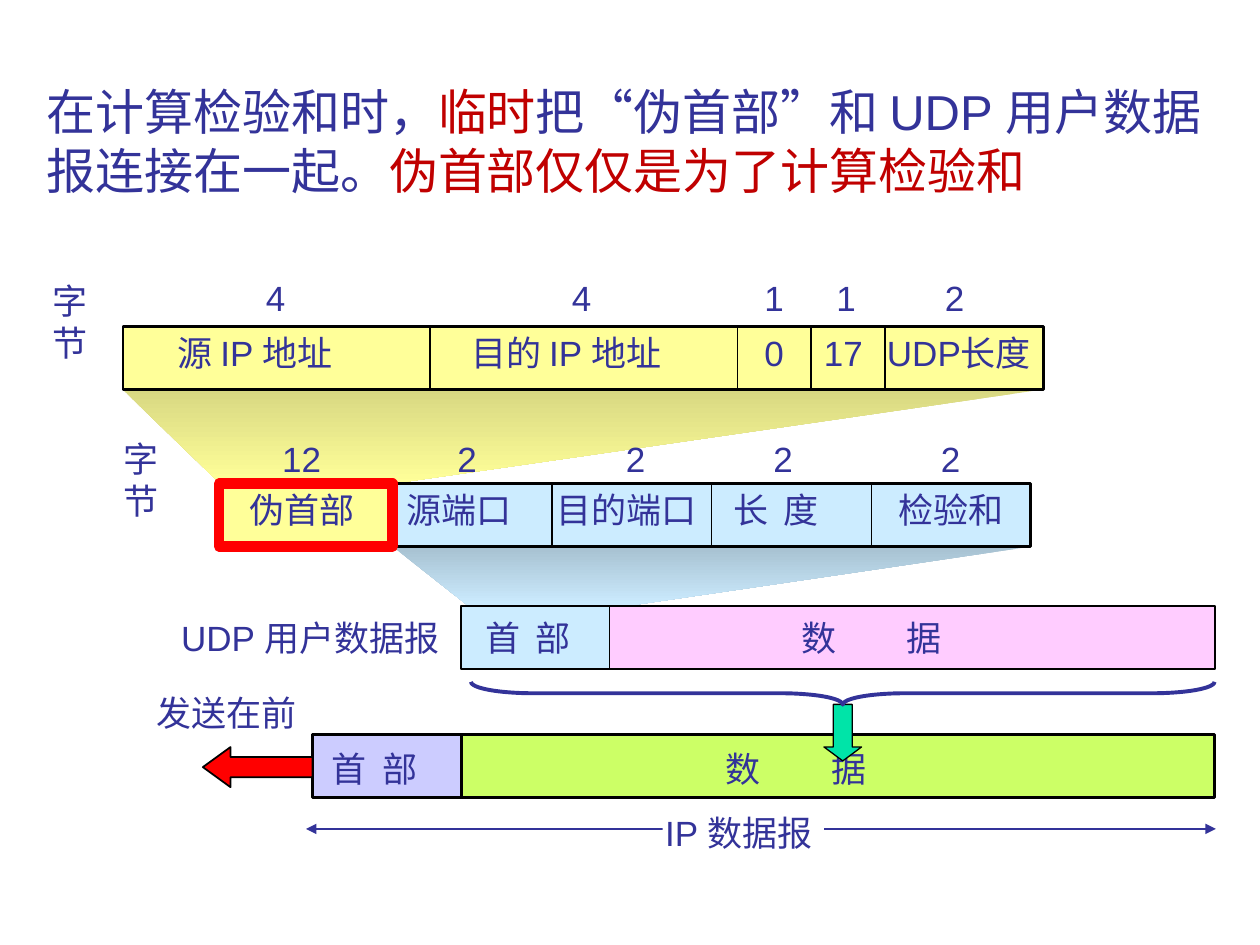
import pptx
import pptx.util
import pptx.dml.color
import pptx.enum.shapes
import pptx.enum.text
import pptx.oxml.ns
import lxml.etree

Cm, Pt = pptx.util.Cm, pptx.util.Pt
KIND = pptx.enum.shapes.MSO_SHAPE

INK = {
    "text": "333399", "dark": "C00000", "black": "000000", "white": "FFFFFF",
    "sun": "FFFF99", "olive": "D8D882", "sky": "CCECFF", "steel": "A7C1D1",
    "pink": "FFCCFF", "lime": "CCFF66", "lilac": "CCCCFF", "red": "FF0000",
    "mint": "00E4A8",
}

TITLE = [
    ("在计算检验和时，", "text", "Arial"),
    ("临时", "dark", "Arial"),
    ("把“伪首部”和 UDP 用户数据报连接在一起。", "text", "Arial"),
    ("伪首部仅仅是为了计算检验和", "dark", "Roboto"),
]

HIGH = 1.27
PSEUDO, UDP, USER, IP = 6.58, 9.75, 12.22, 14.81

FANS = [
    ([(2.47, 7.85), (21.04, 7.85), (7.92, 9.75), (4.44, 9.75)], "olive", "sun"),
    ([(7.92, 11.02), (20.78, 11.02), (12.62, 12.22), (9.45, 12.22)], "steel", "sky"),
]
BARS = [
    (2.48, PSEUDO, 18.56, "sun", "black", 1.5),
    (7.91, UDP, 12.87, "sky", "black", 1.5),
    (4.42, UDP, 3.49, "sun", "red", 6),
    (9.3, USER, 3, "sky", "black", 1),
    (12.29, USER, 12.2, "pink", "black", 1),
    (9.3, IP, 15.19, "lime", "black", 1.5),
    (6.3, IP, 3, "lilac", "black", 1.5),
]
CUTS = [
    (PSEUDO, [8.67, 14.87, 16.35, 17.84]),
    (UDP, [7.91 + 12.87 / 4 * i for i in (1, 2, 3)]),
]

THIN, WIDE = 2.24, 17.9
LABELS = [
    (5.51, [("字节", 0.81, 1.91, 0)]),
    (5.44, [("4", 5.11, 0.89, 0), ("4", 11.28, 0.89, 0), ("1", 15.16, 0.89, 0),
            ("1", 16.61, 0.89, 0), ("2", 18.8, 0.89, 0)]),
    (6.55, [("源 IP 地址", 3.33, 4.17, 0), ("目的 IP 地址", 9.25, 4.88, 0),
            ("0", 15.16, 0.89, 0), ("17", 16.36, 1.3, 0), ("UDP长度", 17.63, 3.58, 0)]),
    (8.7, [("字节", 2.24, 1.91, 0), ("12", 5.44, 1.3, 0), ("2", 8.97, 0.89, 0),
           ("2", 12.37, 0.89, 0), ("2", 15.34, 0.89, 0), ("2", 18.72, 0.89, 0)]),
    (9.73, [("伪首部", 4.78, 2.62, 0), ("源端口", 7.95, 2.62, 0),
            ("目的端口", 10.97, 3.33, 0), ("长 度", 14.53, 2.62, THIN),
            ("检验和", 17.86, 2.62, 0)]),
    (12.31, [("UDP 用户数据报", 3.4, 5.89, 0), ("首 部", 9.53, 2.62, THIN),
             ("数 据", 15.9, 5.11, WIDE)]),
    (13.82, [("发送在前", 2.9, 3.33, 0)]),
    (14.94, [("首 部", 6.43, 2.62, THIN), ("数 据", 14.38, 5.11, WIDE)]),
    (16.23, [("IP 数据报", 13.16, 3.66, 0)]),
]

deck = pptx.Presentation()
deck.slide_width, deck.slide_height = Cm(25.4), Cm(19.05)
page = deck.slides.add_slide(deck.slide_layouts[6])


def hue(name):
    return pptx.dml.color.RGBColor.from_string(INK[name])


def paint(shape, fill, line, width=1):
    shape.shadow.inherit = False
    if fill:
        shape.fill.solid()
        shape.fill.fore_color.rgb = hue(fill)
    else:
        shape.fill.background()
    if line:
        shape.line.color.rgb = hue(line)
        shape.line.width = Pt(width)
    else:
        shape.line.fill.background()


def block(kind, x, y, w, h, fill, line, width=1, bends=()):
    shape = page.shapes.add_shape(kind, Cm(x), Cm(y), Cm(w), Cm(h))
    for i, bend in enumerate(bends):
        shape.adjustments[i] = bend
    paint(shape, fill, line, width)
    return shape


def fan(spots, top, base):
    spots = [(Cm(x), Cm(y)) for x, y in spots]
    pen = page.shapes.build_freeform(*spots[0])
    pen.add_line_segments(spots[1:], close=True)
    shape = pen.convert_to_shape()
    paint(shape, None, None)
    shape.fill.gradient()
    shape.fill.gradient_angle = 270
    for stop, name in zip(shape.fill.gradient_stops, (top, base)):
        stop.color.rgb = hue(name)


def rule(x1, y1, x2, y2, name, ends=False):
    line = page.shapes.add_connector(
        pptx.enum.shapes.MSO_CONNECTOR.STRAIGHT, Cm(x1), Cm(y1), Cm(x2), Cm(y2))
    line.line.color.rgb = hue(name)
    line.line.width = Pt(0.75)
    qn = pptx.oxml.ns.qn
    if ends:
        for tag in ("a:headEnd", "a:tailEnd"):
            lxml.etree.SubElement(line.line._get_or_add_ln(), qn(tag), type="triangle")
    lxml.etree.SubElement(line._element.spPr, qn("a:effectLst"))


def write(x, y, w, h, runs, size, wrap=False, space=0):
    frame = page.shapes.add_textbox(Cm(x), Cm(y), Cm(w), Cm(h)).text_frame
    frame.word_wrap = wrap
    frame.auto_size = pptx.enum.text.MSO_AUTO_SIZE.SHAPE_TO_FIT_TEXT
    for text, name, face in runs:
        run = frame.paragraphs[0].add_run()
        run.text = text
        run.font.size = Pt(size)
        run.font.name = face
        run.font.color.rgb = hue(name)
        if space:
            run.font._element.set("spc", str(round(space * 100)))


for shade in FANS:
    fan(*shade)
for x, y, w, fill, line, width in sorted(BARS, key=lambda bar: bar[4] == "red"):
    block(KIND.RECTANGLE, x, y, w, HIGH, fill, line, width)
for y, spots in CUTS:
    for x in spots:
        rule(x, y, x, y + HIGH, "black")

rule(6.17, 16.71, 24.51, 16.71, "text", ends=True)
block(KIND.RECTANGLE, 13.36, 16.28, 3.25, 0.81, "white", None)
block(KIND.LEFT_ARROW, 4.09, 15.06, 2.21, 0.81, "red", "black", 1, (0.5, 0.69))

for y, row in LABELS:
    for text, x, w, space in row:
        write(x, y, w, 1.12, [(text, "text", "Arial")], 20, space=space)

block(KIND.DOWN_ARROW, 16.61, 14.2, 0.76, 1.14, "mint", "black", 0.75, (0.5, 0.37))
brace = block(KIND.LEFT_BRACE, 16.76, 6.48, 0.46, 14.99, None, "text", 2.25, (2.72, 0.5))
brace.rotation = 270
write(0.69, 1.52, 24.1, 2.64, TITLE, 28, wrap=True)

deck.save("out.pptx")
